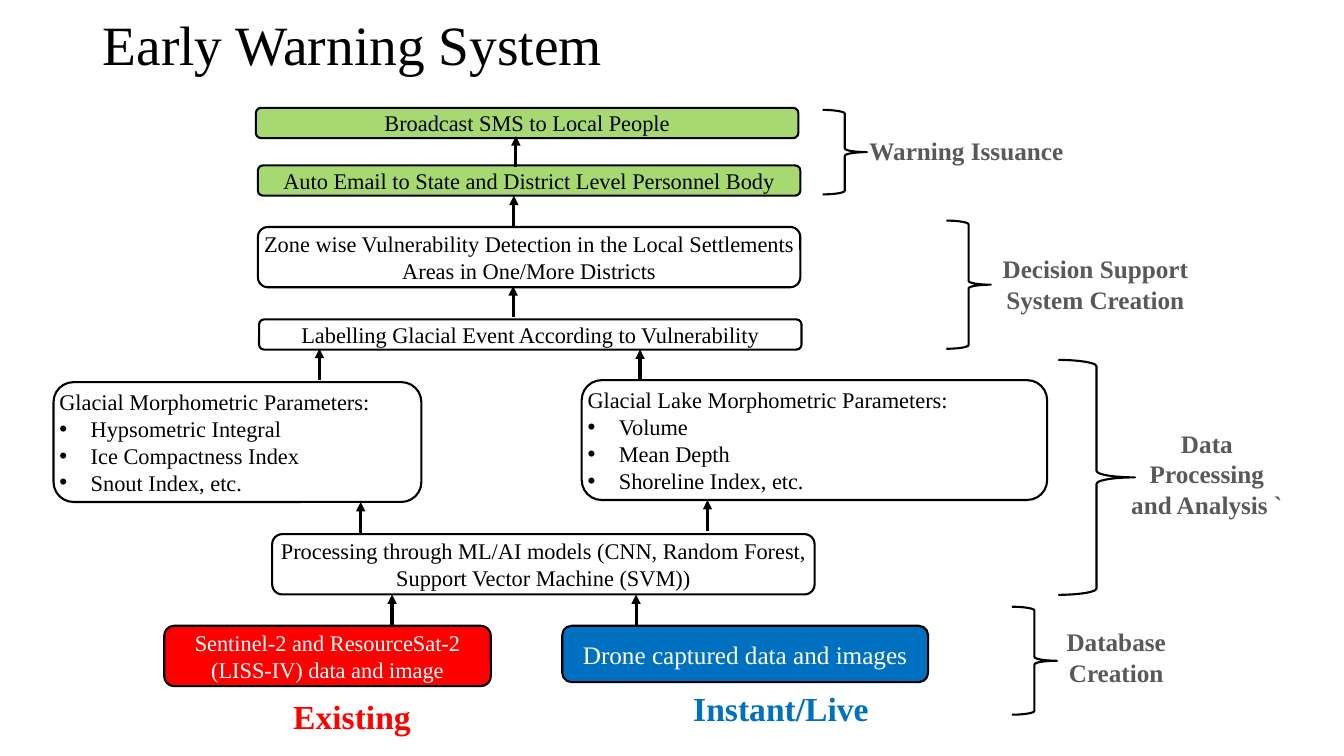
from lxml import etree
from pptx import Presentation
from pptx.dml.color import RGBColor
from pptx.enum.shapes import MSO_CONNECTOR, MSO_SHAPE
from pptx.enum.text import MSO_ANCHOR, PP_ALIGN
from pptx.oxml.ns import qn
from pptx.util import Cm, Pt

ROUNDED, BRACE = MSO_SHAPE.ROUNDED_RECTANGLE, MSO_SHAPE.RIGHT_BRACE
STRAIGHT = MSO_CONNECTOR.STRAIGHT
LEFT, CENTER = PP_ALIGN.LEFT, PP_ALIGN.CENTER
TOP, MIDDLE = MSO_ANCHOR.TOP, MSO_ANCHOR.MIDDLE

COLORS = {
    "black": "000000", "white": "FFFFFF", "gray": "595959",
    "red": "FF0000", "blue": "0070C0", "green": "92D050",
}
FONT = "Times New Roman"
ARROW_LENGTH = 0.79
BULLET_INDENT = 0.79

# Content: all positions and sizes in centimetres (left, top, width, height)
TITLE = ("Early Warning System", (2.34, 0.66, 29.21, 1.09))

# Stages: place, fill, text colour, size, alignment, heading, bullets
STAGES = [
    ((4.14, 15.77, 8.23, 1.52), "red", "white", 16, CENTER,
     "Sentinel-2 and ResourceSat-2 (LISS-IV) data and image", []),
    ((14.17, 15.77, 9.22, 1.42), "blue", "white", 18, CENTER,
     "Drone captured data and images", []),
    ((6.86, 13.46, 13.67, 1.52), "white", "black", 16, CENTER,
     "Processing through ML/AI models (CNN, Random Forest, Support Vector Machine (SVM))", []),
    ((1.35, 9.63, 9.27, 3.02), "white", "black", 16, LEFT,
     "Glacial Morphometric Parameters:",
     ["Hypsometric Integral", "Ice Compactness Index", "Snout Index, etc."]),
    ((14.66, 9.58, 11.73, 3.02), "white", "black", 16, LEFT,
     "Glacial Lake Morphometric Parameters:",
     ["Volume", "Mean Depth", "Shoreline Index, etc."]),
    ((6.53, 8.05, 13.67, 0.76), "white", "black", 16, CENTER,
     "Labelling Glacial Event According to Vulnerability", []),
    ((6.5, 5.72, 13.67, 1.52), "white", "black", 16, CENTER,
     "Zone wise Vulnerability Detection in the Local Settlements Areas in One/More Districts", []),
    ((6.5, 4.17, 13.67, 0.76), "green", "black", 16, CENTER,
     "Auto Email to State and District Level Personnel Body", []),
    ((6.45, 2.72, 13.67, 0.76), "green", "black", 16, CENTER,
     "Broadcast SMS to Local People", []),
]

# Upward arrows: x and starting y
ARROWS = [
    (9.88, 15.77), (16.03, 15.77), (9.09, 13.44), (17.83, 13.39), (8.05, 9.58),
    (16.13, 9.6), (12.93, 8), (12.95, 5.72), (13, 4.22),
]

# Phases: brace place, label, label place
PHASES = [
    ((25.5, 15.29, 1.14, 2.72), "Database Creation", (26.11, 15.67, 4.04, 1.8)),
    ((26.67, 9.07, 1.93, 5.92), "Data Processing and Analysis `", (28.22, 10.67, 4.39, 2.57)),
    ((23.85, 5.56, 1.12, 3.23), "Decision Support System Creation", (24.66, 6.27, 5.89, 1.8)),
    ((20.73, 2.77, 1.12, 2.13), "Warning Issuance", (21.41, 3.28, 5.89, 1.02)),
]

SOURCE_LABELS = [
    ("Existing", "red", (7.14, 17.4, 3.51, 1.27)),
    ("Instant/Live", "blue", (17.22, 17.2, 4.98, 1.27)),
]


def rgb(name):
    return RGBColor.from_string(COLORS[name])


def lengths(place):
    return [Cm(value) for value in place]


def set_line(shape, width):
    shape.line.color.rgb = rgb("black")
    shape.line.width = Pt(width)


def format_paragraph(paragraph, text, size, color, alignment, bold=False):
    paragraph.text = text
    paragraph.alignment = alignment
    font_format = {"name": FONT, "size": Pt(size), "bold": bold}
    for run in paragraph.runs:
        for attribute, value in font_format.items():
            setattr(run.font, attribute, value)
        run.font.color.rgb = rgb(color)


def add_bullet(paragraph):
    properties = paragraph._p.get_or_add_pPr()
    properties.set("marL", str(Cm(BULLET_INDENT)))
    properties.set("indent", str(-Cm(BULLET_INDENT)))
    etree.SubElement(properties, qn("a:buFont")).set("typeface", "Arial")
    etree.SubElement(properties, qn("a:buChar")).set("char", "•")


def add_label(text, place, size, color, alignment, bold=True, anchor=TOP, wrap=True):
    frame = slide.shapes.add_textbox(*lengths(place)).text_frame
    frame.word_wrap = wrap
    frame.vertical_anchor = anchor
    format_paragraph(frame.paragraphs[0], text, size, color, alignment, bold)
    return frame


def add_stage(place, fill, color, size, alignment, heading, bullets):
    shape = slide.shapes.add_shape(ROUNDED, *lengths(place))
    shape.shadow.inherit = False
    shape.fill.solid()
    shape.fill.fore_color.rgb = rgb(fill)
    if fill == "green":
        fill_color = shape.fill._xPr.find(qn("a:solidFill"))[0]
        etree.SubElement(fill_color, qn("a:alpha")).set("val", "80000")
    set_line(shape, 1.5)
    frame = shape.text_frame
    frame_format = {
        "margin_left": 0, "margin_top": 0, "margin_right": 0, "margin_bottom": 0,
        "word_wrap": True, "vertical_anchor": MIDDLE,
    }
    for attribute, value in frame_format.items():
        setattr(frame, attribute, value)
    format_paragraph(frame.paragraphs[0], heading, size, color, alignment)
    for text in bullets:
        paragraph = frame.add_paragraph()
        add_bullet(paragraph)
        format_paragraph(paragraph, text, size, color, alignment)


def add_arrow(x, y):
    connector = slide.shapes.add_connector(
        STRAIGHT, *lengths((x, y, x, y - ARROW_LENGTH)))
    set_line(connector, 2.25)
    line = connector.line._get_or_add_ln()
    etree.SubElement(line, qn("a:tailEnd")).set("type", "triangle")
    etree.SubElement(connector._element.spPr, qn("a:effectLst"))


def add_brace(place):
    brace = slide.shapes.add_shape(BRACE, *lengths(place))
    brace.shadow.inherit = False
    brace.fill.background()
    set_line(brace, 1.5)


presentation = Presentation()
presentation.slide_width = Cm(33.87)
presentation.slide_height = Cm(19.05)
slide = presentation.slides.add_slide(presentation.slide_layouts[6])

# Title
title_frame = add_label(*TITLE, 39.6, "black", LEFT, bold=False, anchor=MIDDLE)
title_frame.paragraphs[0].line_spacing = 0.9

# Flow from data sources up to the warnings
for stage in STAGES:
    add_stage(*stage)
for x, y in ARROWS:
    add_arrow(x, y)
for text, color, place in SOURCE_LABELS:
    add_label(text, place, 24, color, LEFT, wrap=False)

# Phases on the right
for brace_place, text, label_place in PHASES:
    add_brace(brace_place)
    add_label(text, label_place, 18, "gray", CENTER)

presentation.save("out.pptx")
